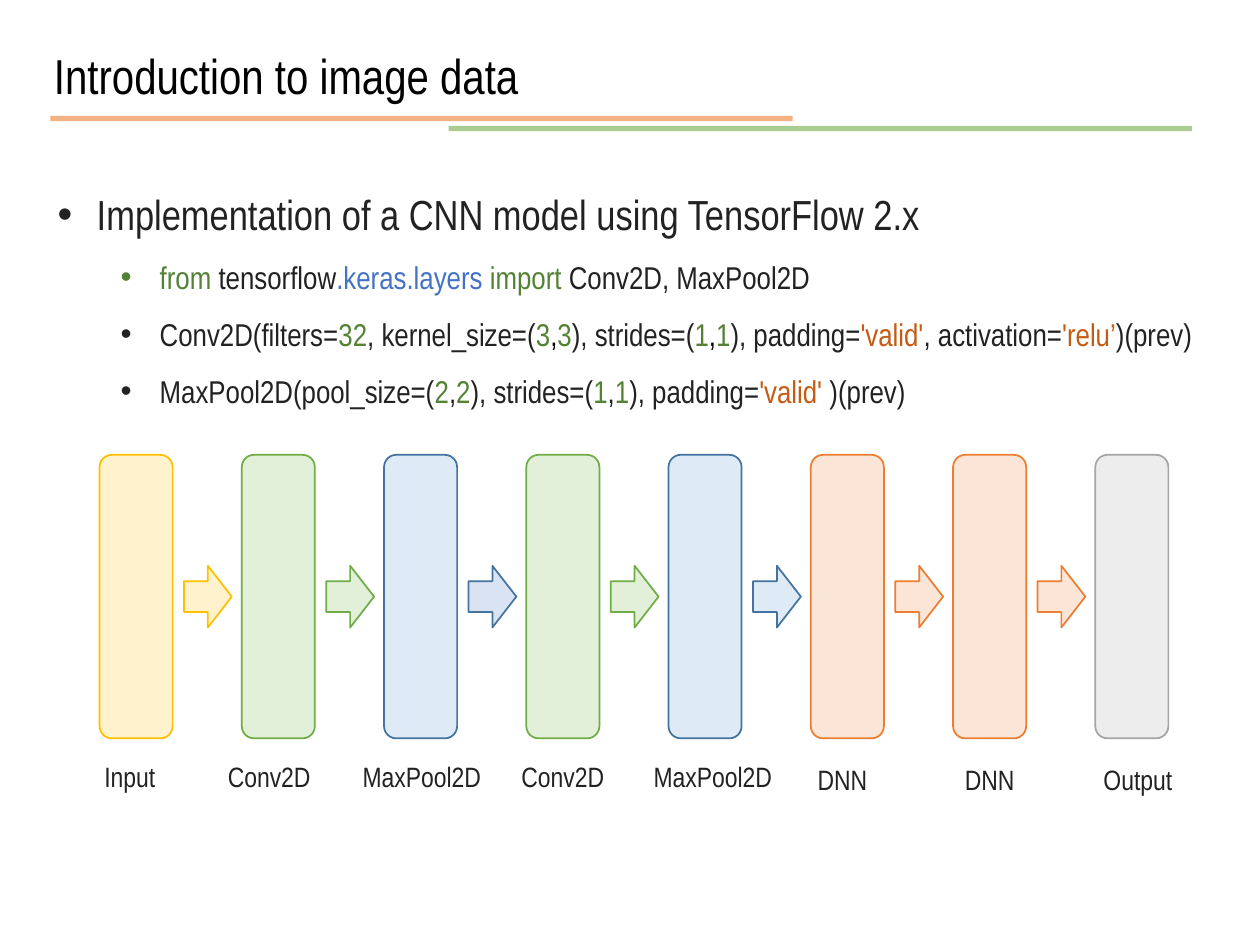
from lxml import etree
from pptx import Presentation
from pptx import util as u
from pptx.dml.color import RGBColor
from pptx.enum import shapes, text
from pptx.oxml import ns

INK, BLACK, GREEN, BLUE, RUST = "222222", "000000", "548235", "4472C4", "C55A11"
YELLOW, LEAF, SKY = ("FFF2CC", "FFC000"), ("E2F0D9", "70AD47"), ("DEEBF7", "43739E")
PERIWINKLE, PEACH, GREY = ("DAE3F3", "43739E"), ("FBE5D6", "ED7D31"), ("EDEDED", "A5A5A5")


def rgb(value):
    return RGBColor.from_string(value)


class Deck:
    COLUMNS, ROWS = 100, 75
    FACE = "Arial Narrow"

    def __init__(self):
        self.show = Presentation()
        self.show.slide_width, self.show.slide_height = u.Inches(10), u.Inches(7.5)
        self.slide = self.show.slides.add_slide(self.show.slide_layouts[6])

    def x(self, columns):
        return round(self.show.slide_width * columns / self.COLUMNS)

    def y(self, rows):
        return round(self.show.slide_height * rows / self.ROWS)

    def place(self, left, top, width, height):
        return self.x(left), self.y(top), self.x(width), self.y(height)

    def rule(self, start, end, row, color):
        line = self.slide.shapes.add_connector(
            shapes.MSO_CONNECTOR.STRAIGHT, self.x(start), self.y(row), self.x(end), self.y(row))
        line.line.color.rgb = rgb(color)
        line.line.width = u.Pt(3)
        properties = line._element.spPr
        tint = properties.find(".//" + ns.qn("a:srgbClr"))
        etree.SubElement(tint, ns.qn("a:alpha"), val="60000")
        etree.SubElement(properties, ns.qn("a:effectLst"))

    def block(self, preset, place, colors):
        shape = self.slide.shapes.add_shape(preset, *self.place(*place))
        fill, outline = colors
        shape.shadow.inherit = False
        shape.fill.solid()
        shape.fill.fore_color.rgb = rgb(fill)
        shape.line.color.rgb = rgb(outline)
        shape.line.width = u.Pt(1)

    def frame(self, place):
        frame = self.slide.shapes.add_textbox(*self.place(*place)).text_frame
        frame.word_wrap = True
        frame.vertical_anchor = text.MSO_ANCHOR.TOP
        return frame

    def typeset(self, paragraph, runs, size, spacing=1):
        paragraph.line_spacing = spacing
        paragraph.font.name = self.FACE
        paragraph.font.size = u.Pt(size)
        for words, color in runs:
            run = paragraph.add_run()
            run.text = words
            run.font.color.rgb = rgb(color)

    def label(self, words, place, size, color=INK, spacing=1):
        self.typeset(self.frame(place).paragraphs[0], [(words, color)], size, spacing)

    def bullets(self, place, items):
        frame = self.frame(place)
        for number, (level, size, runs) in enumerate(items):
            paragraph = frame.add_paragraph() if number else frame.paragraphs[0]
            paragraph.level = level
            properties = paragraph._p.get_or_add_pPr()
            properties.set("marL", str(u.Inches(0.31 + 0.5 * level)))
            properties.set("indent", str(u.Inches(-0.31)))
            etree.SubElement(properties, ns.qn("a:buFont"), typeface="Arial")
            etree.SubElement(properties, ns.qn("a:buChar"), char="•")
            self.typeset(paragraph, runs, size, 1.5)


def pair(number, comma):
    return [(number, GREEN), (",", comma), (number, GREEN)]


def main():
    deck = Deck()
    deck.rule(4, 62.9, 9.4, "ED7D31")
    deck.rule(35.6, 94.6, 10.2, "70AD47")
    deck.label("Introduction to image data", (3.3, 0.8, 93.4, 7.2), 28, BLACK, 1.5)

    importing = [("from ", GREEN), ("tensorflow", INK), (".keras.layers ", BLUE),
                 ("import", GREEN), (" Conv2D, MaxPool2D", INK)]
    convolution = [("Conv2D(filters=", INK), ("32", GREEN), (", kernel_size=(", INK),
                   *pair("3", BLACK), ("), strides=(", INK), *pair("1", BLACK),
                   ("), padding=", INK), ("'valid'", RUST), (", activation=", INK),
                   ("'relu’", RUST), (")(prev)", INK)]
    pooling = [("MaxPool2D(pool_size=(", INK), *pair("2", INK), ("), strides=(", INK),
               *pair("1", INK), ("), padding=", INK), ("'valid'", RUST), (" )(prev)", INK)]
    deck.bullets((3.6, 12.5, 95.6, 24.7), [
        (0, 24, [("Implementation of a CNN model using TensorFlow 2.x", INK)]),
        (1, 18, importing), (1, 18, convolution), (1, 18, pooling)])

    layers = [
        ("Input", YELLOW, YELLOW, 7.3, 59.8, 7),
        ("Conv2D", LEAF, LEAF, 17.1, 59.8, 10.1),
        ("MaxPool2D", SKY, PERIWINKLE, 27.8, 59.8, 12.7),
        ("Conv2D", LEAF, LEAF, 40.4, 59.8, 10.1),
        ("MaxPool2D", SKY, SKY, 50.9, 59.8, 12.7),
        ("DNN", PEACH, PEACH, 63.9, 60, 8.3),
        ("DNN", PEACH, PEACH, 75.6, 60, 8.3),
        ("Output", GREY, None, 86.6, 60, 8.3),
    ]
    first, pitch = 7.9, 11.29
    for number, (name, colors, arrow, left, top, width) in enumerate(layers):
        column = first + number * pitch
        deck.block(shapes.MSO_SHAPE.ROUNDED_RECTANGLE, (column, 36.1, 5.8, 22.5), colors)
        if arrow:
            deck.block(shapes.MSO_SHAPE.RIGHT_ARROW, (column + 6.7, 44.9, 3.8, 4.9), arrow)
        deck.label(name, (left, top, width, 3.7), 16)

    deck.show.save("out.pptx")


if __name__ == "__main__":
    main()
